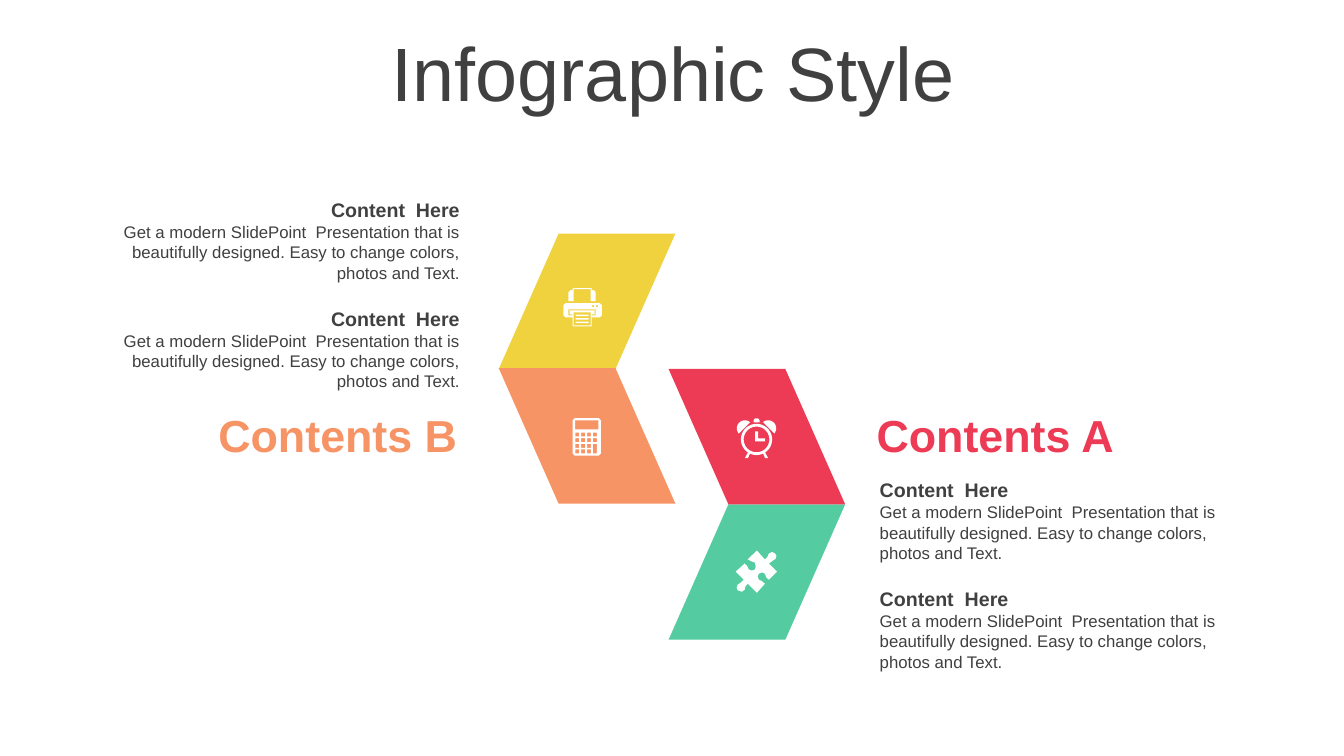
from math import cos, radians, sin

from pptx import Presentation
from pptx.dml.color import RGBColor
from pptx.enum.shapes import MSO_SHAPE
from pptx.enum.text import MSO_ANCHOR, MSO_AUTO_SIZE, PP_ALIGN
from pptx.util import Cm, Pt

LEFT, CENTER, RIGHT = PP_ALIGN.LEFT, PP_ALIGN.CENTER, PP_ALIGN.RIGHT
TOP, MIDDLE = MSO_ANCHOR.TOP, MSO_ANCHOR.MIDDLE
NO_AUTOFIT = MSO_AUTO_SIZE.NONE
PARALLELOGRAM = MSO_SHAPE.PARALLELOGRAM

FONT = "Arial"
DARK, WHITE = "404040", "FFFFFF"
YELLOW, ORANGE, RED, GREEN = "F0D23F", "F79465", "ED3B55", "54CBA0"
HEADING = "Content  Here"
DESCRIPTION = (
    "Get a modern SlidePoint  Presentation that is beautifully designed. "
    "Easy to change colors, photos and Text."
)
ICON_UNIT = Cm(0.0254)

presentation = Presentation()
presentation.slide_width, presentation.slide_height = Cm(33.87), Cm(19.05)
slide = presentation.slides.add_slide(presentation.slide_layouts[5])


def write_text(shape, text, size, color, align, anchor, bold=False):
    frame = shape.text_frame
    frame.word_wrap = True
    frame.auto_size = NO_AUTOFIT
    frame.vertical_anchor = anchor
    paragraph = frame.paragraphs[0]
    paragraph.alignment = align
    run = paragraph.add_run()
    run.text = text
    run.font.name = FONT
    run.font.size = Pt(size)
    run.font.bold = bold
    run.font.color.rgb = RGBColor.from_string(color)


def add_icon(left, top, polygons, rectangles=()):
    """Draw one outline from polygons and (left, top, right, bottom) boxes in icon units."""
    boxes = [[(x1, y1), (x2, y1), (x2, y2), (x1, y2)] for x1, y1, x2, y2 in rectangles]
    first, *others = [
        [(x * ICON_UNIT, y * ICON_UNIT) for x, y in points]
        for points in [*polygons, *boxes]
    ]
    builder = slide.shapes.build_freeform(*first[0])
    builder.add_line_segments(first[1:], close=True)
    for points in others:
        builder.move_to(*points[0])
        builder.add_line_segments(points[1:], close=True)
    return builder.convert_to_shape(Cm(left), Cm(top))


# Title
title = slide.shapes.title
title.left, title.top, title.width, title.height = Cm(0.89), Cm(0.94), Cm(32.16), Cm(2)
write_text(title, "Infographic Style", 54, DARK, CENTER, MIDDLE)
title.text_frame.paragraphs[0].line_spacing = 0.9

# Two chevrons, each made of two mirrored parallelograms
filled_shapes = []
for left, top, color, flipped in (
    (16.85, 12.71, GREEN, False),
    (16.85, 9.3, RED, True),
    (12.57, 5.89, YELLOW, False),
    (12.57, 9.28, ORANGE, True),
):
    band = slide.shapes.add_shape(PARALLELOGRAM, Cm(left), Cm(top), Cm(4.45), Cm(3.41))
    band.adjustments[0] = 0.442
    if flipped:
        band.element.spPr.xfrm.set("flipV", "1")
    filled_shapes.append((band, color))

# Headings and descriptions on both sides
for left, first_top, width, align in ((21.92, 11.91, 9.6, LEFT), (2.06, 4.85, 9.78, RIGHT)):
    for row in range(2):
        top = first_top + row * 2.74
        heading = slide.shapes.add_textbox(Cm(left), Cm(top), Cm(width), Cm(0.86))
        write_text(heading, HEADING, 14, DARK, align, MIDDLE, bold=True)
        description = slide.shapes.add_textbox(Cm(left), Cm(top + 0.62), Cm(width), Cm(1.8))
        write_text(description, DESCRIPTION, 12, DARK, align, TOP)

for text, left, width, color, align in (
    ("Contents A", 21.84, 7.87, RED, LEFT),
    ("Contents B", 4.19, 7.59, ORANGE, RIGHT),
):
    label = slide.shapes.add_textbox(Cm(left), Cm(10.13), Cm(width), Cm(1.63))
    write_text(label, text, 32, color, align, MIDDLE, bold=True)

# Alarm clock: rim, face and two bells are arcs
clock_arcs = [
    [
        (x + radius * cos(radians(angle)), y + radius * sin(radians(angle)))
        for angle in range(start, end, 10)
    ]
    for x, y, radius, start, end in (
        (19.5, 21, 15.5, 0, 360),
        (19.5, 21, 12.75, 0, 360),
        (8, 10, 8, -220, -40),
        (31, 10, 8, -130, 50),
    )
]
clock_leg = [(28, 34), (31, 39.5), (28, 39.5), (26, 35)]
clock = add_icon(18.57, 10.54, [
    *clock_arcs,
    clock_leg,
    [(39 - x, y) for x, y in clock_leg],
    [(18, 13), (21, 13), (21, 20), (28, 20), (28, 23), (18, 23)],
    [(16.5, 4), (16.5, 2), (18, 0), (21, 0), (22.5, 2), (22.5, 4)],
])

# Calculator: the last key is two rows tall
calculator_keys = [
    (2.7 + 5.85 * column, 14.2 + 5.6 * row, 6.5 + 5.85 * column, 18.1 + 5.6 * row)
    for row in range(4)
    for column in range(4 if row < 2 else 3)
]
calculator = add_icon(
    14.43, 10.54,
    [[(2, 0), (26, 0), (28, 2), (28, 35), (26, 37), (2, 37), (0, 35), (0, 2)]],
    [(2.5, 2.2, 25.5, 11), *calculator_keys, (20.25, 25.4, 24.05, 34.9)],
)

# Printer: body, slot and upper tray, then paper, text lines and lights
printer = add_icon(
    14.2, 7.26,
    [
        [(2, 15), (36, 15), (38, 17), (38, 27), (36, 29), (28, 29), (28, 38), (9, 38),
         (9, 29), (2, 29), (0, 27), (0, 17)],
        [(5, 21), (5, 27), (9, 27), (9, 26), (6, 26), (6, 22), (31, 22), (31, 26),
         (28, 26), (28, 27), (32, 27), (32, 21)],
        [(9, 0), (28, 0), (28, 2), (30, 2), (32, 4), (32, 13), (27, 13), (27, 1),
         (10, 1), (10, 13), (5, 13), (5, 4), (7, 2), (9, 2)],
    ],
    [(10, 24, 27, 37), *[(12, y, 25, y + 1.5) for y in (26.3, 29.8, 33.3)],
     *[(x, 17, x + 2, 19) for x in (28.5, 32.5)]],
)

puzzle = add_icon(18.54, 13.87, [[
    (39, 3), (40.5, 5.5), (39.5, 8.5), (37, 10), (33, 13), (41, 21), (33, 29),
    (30.5, 27), (29, 23), (26.5, 21.8), (23, 23), (21.8, 26), (23, 29), (26, 30.5),
    (29, 33), (21, 42), (12, 33), (9.5, 36), (9, 39), (6, 41), (2, 39.5), (1, 37),
    (2, 34), (5, 32), (8, 29), (0, 21), (9, 13), (11.5, 15.5), (13, 19), (16, 20),
    (19, 19), (20, 16), (19, 12), (16, 11), (12, 9), (21, 0), (29, 9), (31.5, 6.5),
    (33, 3), (36, 1.5),
]])

filled_shapes += [(icon, WHITE) for icon in (clock, calculator, printer, puzzle)]
for shape, color in filled_shapes:
    shape.shadow.inherit = False
    shape.fill.solid()
    shape.fill.fore_color.rgb = RGBColor.from_string(color)
    shape.line.fill.background()

presentation.save("out.pptx")
